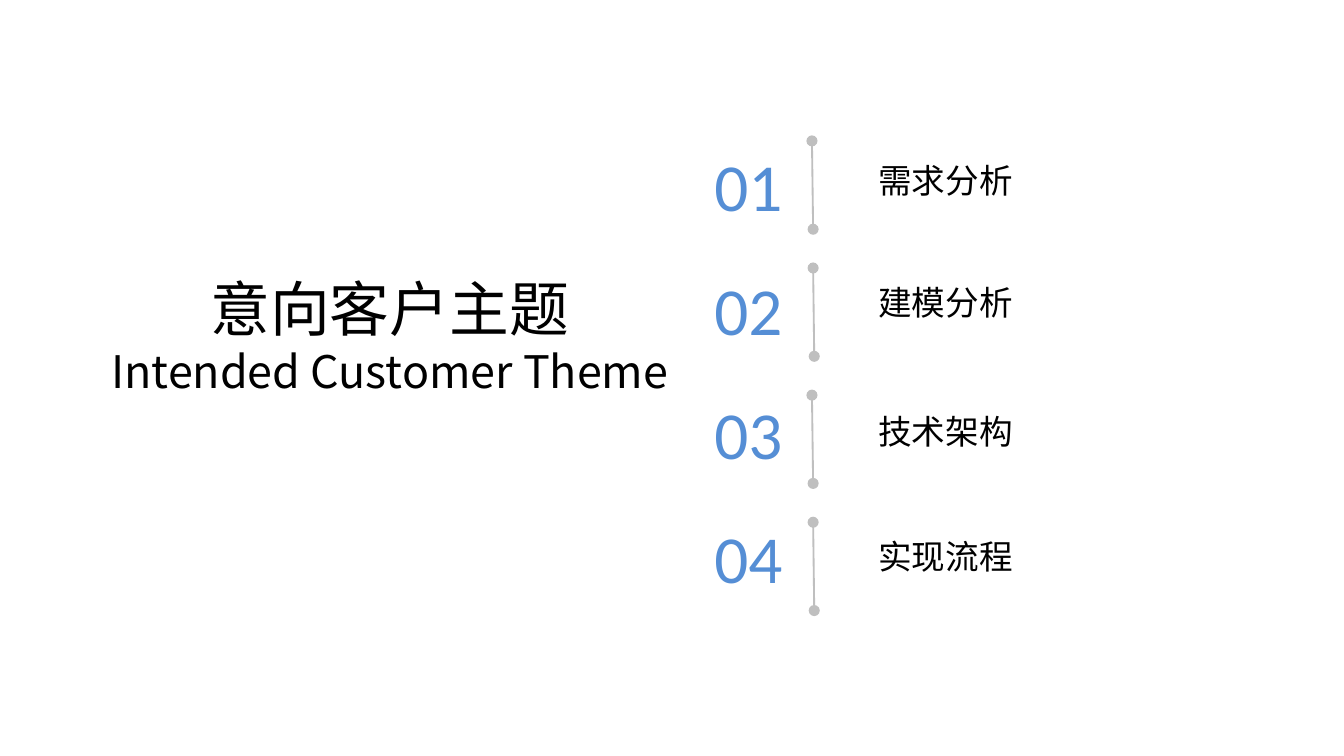
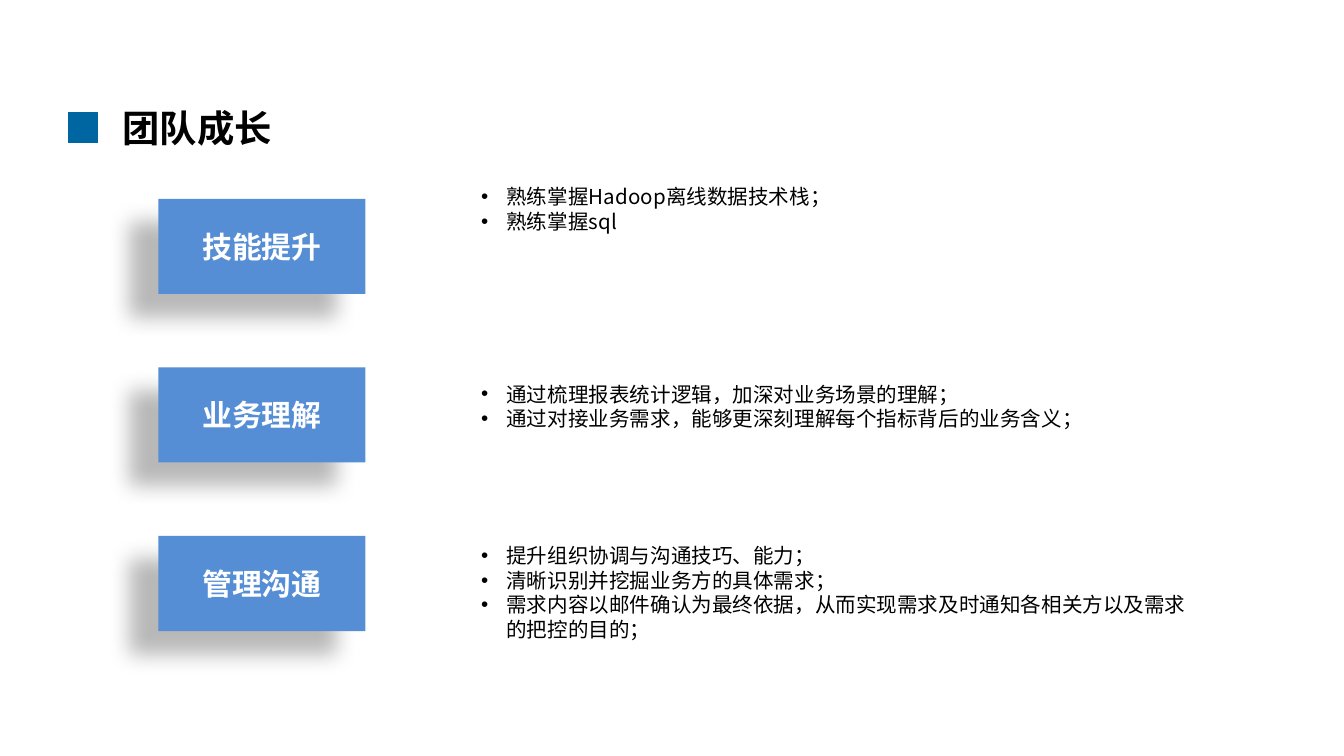
"""Build the agenda slide and the team growth slide."""
import lxml.etree
import pptx
import pptx.dml.color
import pptx.enum.shapes
import pptx.enum.text
import pptx.oxml.ns
import pptx.util

Pt = pptx.util.Pt
qn = pptx.oxml.ns.qn
RGB = pptx.dml.color.RGBColor.from_string
ALIGN = pptx.enum.text.PP_ALIGN
ANCHOR = pptx.enum.text.MSO_ANCHOR
FIT = pptx.enum.text.MSO_AUTO_SIZE
RECTANGLE = pptx.enum.shapes.MSO_SHAPE.RECTANGLE
STRAIGHT = pptx.enum.shapes.MSO_CONNECTOR.STRAIGHT

COLORS = {"text": "000000", "blue": "558ED5", "mark": "0066A1",
          "rule": "BFBFBF", "light": "FFFFFF", "shadow": "000000"}
CJK, LATIN = "Noto Sans CJK SC", "Calibri"
TITLE_ONLY, COMPARISON = 5, 4


def add_xml(parent, tag, **attributes):
    """Append a drawing element with its attributes."""
    values = {key: str(value) for key, value in attributes.items()}
    return lxml.etree.SubElement(parent, qn(tag), values)


class Deck:
    """Presentation style together with the slide being built."""

    def __init__(self):
        """Start an empty widescreen presentation."""
        self.prs = pptx.Presentation()
        self.prs.slide_width, self.prs.slide_height = Pt(720), Pt(405)
        self.slide = None

    def new_slide(self, layout):
        """Begin a slide on the given layout."""
        self.slide = self.prs.slides.add_slide(self.prs.slide_layouts[layout])

    def place(self, shape, left, top, width, height):
        """Move and size a shape in points."""
        shape.left, shape.top = Pt(left), Pt(top)
        shape.width, shape.height = Pt(width), Pt(height)

    def fill_text(self, shape, lines, color="text", font=CJK, bold=False,
                  align=ALIGN.LEFT, anchor=ANCHOR.TOP, wrap=True, fit=FIT.NONE,
                  bullet=False):
        """Set (text, size) lines, one paragraph each."""
        frame = shape.text_frame
        frame.word_wrap, frame.auto_size = wrap, fit
        frame.vertical_anchor = anchor
        for index, (text, size) in enumerate(lines):
            paragraph = frame.add_paragraph() if index else frame.paragraphs[0]
            if bullet:
                props = paragraph._p.get_or_add_pPr()
                props.set("marL", str(Pt(13.5)))
                props.set("indent", str(-Pt(13.5)))
                add_xml(props, "a:buFont", typeface="Arial")
                add_xml(props, "a:buChar", char="•")
            paragraph.alignment = align
            paragraph.space_before = Pt(0)
            run = paragraph.add_run()
            run.text = text
            run.font.size, run.font.bold = Pt(size), bold
            run.font.color.rgb = RGB(COLORS[color])
            run.font.name = font
            add_xml(run._r.get_or_add_rPr(), "a:ea", typeface=font)

    def title(self, lines, box, **style):
        """Fill the title placeholder."""
        heading = self.slide.shapes.title
        self.place(heading, *box)
        self.fill_text(heading, lines, **style)

    def text(self, content, size, box, **style):
        """Add a one-line text box."""
        label = self.slide.shapes.add_textbox(*map(Pt, box))
        self.fill_text(label, [(content, size)], **style)

    def rule(self, start, end):
        """Add a thin line with a dot at both ends."""
        line = self.slide.shapes.add_connector(STRAIGHT, *map(Pt, start + end))
        line.line.color.rgb = RGB(COLORS["rule"])
        line.line.width = Pt(1)
        outline = line.line._get_or_add_ln()
        add_xml(outline, "a:headEnd", type="oval")
        add_xml(outline, "a:tailEnd", type="oval")
        add_xml(line._element.spPr, "a:effectLst")

    def rectangle(self, box, fill):
        """Add a plain filled rectangle without outline."""
        shape = self.slide.shapes.add_shape(RECTANGLE, *map(Pt, box))
        shape.shadow.inherit = False
        shape.fill.solid()
        shape.fill.fore_color.rgb = RGB(COLORS[fill])
        shape.line.fill.background()
        return shape

    def title_mark(self, left, top, side):
        """Add the two-by-two block of squares beside a title."""
        for row in range(2):
            for column in range(2):
                box = (left + column * side, top + row * side, side, side)
                square = self.rectangle(box, "mark")
                square.line.color.rgb = RGB(COLORS["mark"])
                square.line.width = Pt(0.5)

    def card(self, content, box):
        """Add a blue card with a soft shadow to its lower left."""
        card = self.rectangle(box, "blue")
        effects = card._element.spPr.find(qn("a:effectLst"))
        shadow = add_xml(effects, "a:outerShdw", blurRad=Pt(11.8), dist=Pt(19.7),
                         dir=141 * 60000, algn="ctr", rotWithShape=0)
        tint = add_xml(shadow, "a:srgbClr", val=COLORS["shadow"])
        add_xml(tint, "a:alpha", val=28000)
        self.fill_text(card, [(content, 16)], color="light", bold=True,
                       align=ALIGN.CENTER, anchor=ANCHOR.MIDDLE)

    def bullets(self, body, items, box):
        """Fill a body placeholder with a bulleted list."""
        self.place(body, *box)
        self.fill_text(body, [(item, 11) for item in items], bullet=True)


def build_agenda(deck):
    """Build the theme slide with its four numbered topics."""
    deck.new_slide(TITLE_ONLY)
    deck.title([("意向客户主题", 32), ("Intended Customer Theme", 24)],
               (48.3, 142, 321, 75), align=ALIGN.CENTER, wrap=False,
               fit=FIT.SHAPE_TO_FIT_TEXT)
    topics = [("需求分析", 82), ("建模分析", 147.5),
              ("技术架构", 216.5), ("实现流程", 283.5)]
    for index, (topic, top) in enumerate(topics):
        deck.text(f"{index + 1:02}", 36, (371.5, 66 + 66.5 * index, 59, 65.5),
                  color="blue", font=LATIN, align=ALIGN.CENTER,
                  anchor=ANCHOR.MIDDLE)
        rule_left, rule_top = 435 + 0.6 * (index % 2), 75.5 + 68.1 * index
        deck.rule((rule_left, rule_top), (rule_left + 0.6, rule_top + 47.3))
        deck.text(topic, 18, (463.5, top, 86.5, 29), wrap=False,
                  fit=FIT.SHAPE_TO_FIT_TEXT)


def build_growth(deck):
    """Build the team growth slide with three cards and their lists."""
    deck.new_slide(COMPARISON)
    deck.title([("团队成长", 20)], (58.3, 52.6, 471, 31.5), bold=True)
    deck.title_mark(36.7, 60.5, 7.9)
    areas = [
        ("技能提升", 95, 74, ["熟练掌握Hadoop离线数据技术栈；", "熟练掌握sql"]),
        ("业务理解", 200.8, 34, ["通过梳理报表统计逻辑，加深对业务场景的理解；",
                             "通过对接业务需求，能够更深刻理解每个指标背后的业务含义；"]),
        ("管理沟通", 287.3, 60.5, ["提升组织协调与沟通技巧、能力；",
                               "清晰识别并挖掘业务方的具体需求；",
                               "需求内容以邮件确认为最终依据，从而实现需求及时通知各相关方"
                               "以及需求的把控的目的；"]),
    ]
    bodies = [holder for holder in deck.slide.placeholders
              if 1 <= holder.placeholder_format.idx <= 4]
    for index, (area, top, height, items) in enumerate(areas):
        deck.card(area, (84.8, 106.5 + 90.3 * index, 111, 51))
        deck.bullets(bodies[index], items, (250.6, top, 393.8, height))
    for spare in bodies[len(areas):]:
        spare._element.getparent().remove(spare._element)


def main():
    """Build both slides and save the file."""
    deck = Deck()
    build_agenda(deck)
    build_growth(deck)
    deck.prs.save("out.pptx")


if __name__ == "__main__":
    main()
